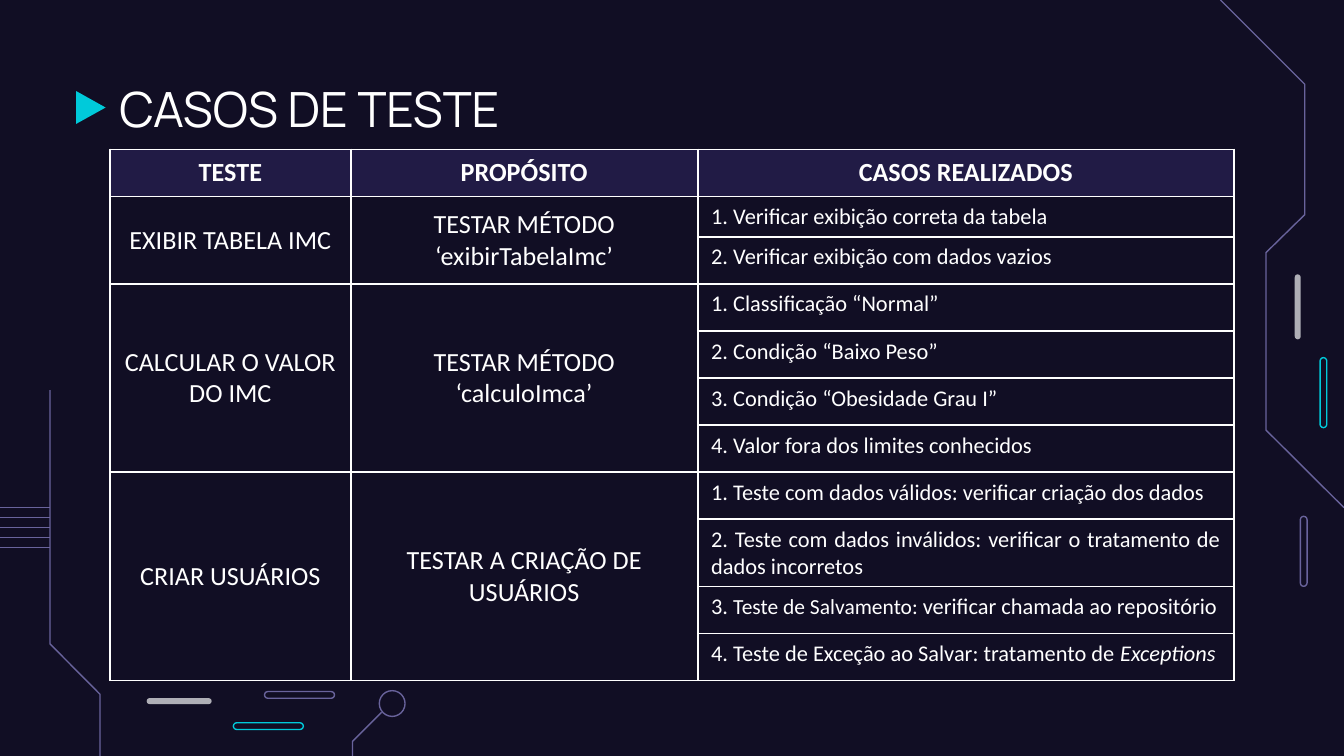
"""Build the test-case table slide with its circuit decoration."""
from lxml import etree
from pptx import Presentation
from pptx import util as u
from pptx.dml.color import RGBColor
from pptx.enum import shapes, text
from pptx.oxml import ns

TITLE = "CASOS DE TESTE"
HEADINGS = ("TESTE", "PROPÓSITO", "CASOS REALIZADOS")
TESTS = [
    ("EXIBIR TABELA IMC", "TESTAR MÉTODO ‘exibirTabelaImc’", [
        "1. Verificar exibição correta da tabela",
        "2. Verificar exibição com dados vazios"]),
    ("CALCULAR O VALOR DO IMC", "TESTAR MÉTODO ‘calculoImca’", [
        "1. Classificação “Normal”",
        "2. Condição “Baixo Peso”",
        "3. Condição “Obesidade Grau I”",
        "4. Valor fora dos limites conhecidos"]),
    ("CRIAR USUÁRIOS", "TESTAR A CRIAÇÃO DE USUÁRIOS", [
        "1. Teste com dados válidos: verificar criação dos dados",
        "2. Teste com dados inválidos: verificar o tratamento de dados incorretos",
        [("3. ", {}), ("Teste de Salvamento: ", {"size": 11.5}),
         ("verificar chamada ao repositório", {})],
        [("4. Teste de Exceção ao Salvar: tratamento de ", {}),
         ("Exceptions", {"italic": True})]]),
]
JUSTIFIED = TESTS[2][2][1]

THEME = {
    "night": "110E24", "header": "211B45", "white": "FFFFFF",
    "cyan": "00CADA", "violet": "69639C", "grey": "AFAFB6",
    "title_font": "Manrope", "body_font": "Calibri",
    "title_size": 26, "label_size": 14, "case_size": 12, "rule": 0.75, "border": 1,
}
COLUMNS = (128.9, 185.9, 287.3)
ROW, FIRST_CASE_ROW = 25.2, 12.2
TABLE_LEFT, TABLE_TOP = 59, 80.1

CIRCUITS = [
    [(720, 272), (678.2, 230.4), (678.2, 135.4), (699, 115), (699, 45.2), (653.8, 0)],
    [(53.6, 405), (53.6, 372), (26.8, 345), (26.8, 209)],
    [(204.5, 381.6), (188.9, 397.2), (188.9, 405)],
]
WIRE_TOP, WIRE_GAP, WIRE_COUNT, WIRE_END = 271.8, 5.4, 5, 26.8
PILL, SOLID_PILL = (3.6, 37.5), (3.2, 34.8)
PILLS = [
    (693.6, 147, SOLID_PILL, "grey", True, False),
    (78.6, 374, SOLID_PILL, "grey", True, True),
    (707.2, 191.6, PILL, "cyan", False, False),
    (696.6, 276.6, PILL, "violet", False, False),
    (125, 387.2, PILL, "cyan", False, True),
    (141.7, 370.5, PILL, "violet", False, True),
]


def color(name):
    return RGBColor.from_string(THEME[name])


def paint(shape, fill=None, line=None):
    shape.shadow.inherit = False
    if fill:
        shape.fill.solid()
        shape.fill.fore_color.rgb = color(fill)
    else:
        shape.fill.background()
    if line:
        shape.line.color.rgb = color(line)
        shape.line.width = u.Pt(THEME["rule"])
    else:
        shape.line.fill.background()


def add_shape(page, kind, left, top, width, height, **look):
    shape = page.shapes.add_shape(kind, u.Pt(left), u.Pt(top), u.Pt(width), u.Pt(height))
    paint(shape, **look)
    return shape


def write(frame, content, size, font="body_font", bold=False, align=text.PP_ALIGN.LEFT):
    para = frame.paragraphs[0]
    para.alignment = align
    spans = [(content, {})] if isinstance(content, str) else content
    for words, extra in spans:
        span = para.add_run()
        span.text = words
        span.font.name = THEME[font]
        span.font.size = u.Pt(extra.get("size", THEME[size]))
        span.font.bold = bold
        span.font.italic = extra.get("italic", False)
        span.font.color.rgb = color("white")


def style_cell(cell, fill):
    properties = cell._tc.get_or_add_tcPr()
    for side in ("lnL", "lnR", "lnT", "lnB"):
        edge = etree.SubElement(properties, ns.qn(f"a:{side}"), w=str(u.Pt(THEME["border"])))
        solid = etree.SubElement(edge, ns.qn("a:solidFill"))
        etree.SubElement(solid, ns.qn("a:srgbClr"), val=THEME["white"])
    cell.fill.solid()
    cell.fill.fore_color.rgb = color(fill)


def add_decoration(page):
    for left, top, (short, long), tone, solid, flat in PILLS:
        width, height = (long, short) if flat else (short, long)
        pill = add_shape(page, shapes.MSO_SHAPE.ROUNDED_RECTANGLE, left, top, width, height,
                         **{"fill" if solid else "line": tone})
        pill.adjustments[0] = 0.5
    arrow = add_shape(page, shapes.MSO_SHAPE.FLOWCHART_MERGE, 39.9, 49.7, 17.6, 15.8, fill="cyan")
    arrow.rotation = 270
    for start, *rest in CIRCUITS:
        builder = page.shapes.build_freeform(u.Pt(start[0]), u.Pt(start[1]))
        builder.add_line_segments([(u.Pt(x), u.Pt(y)) for x, y in rest], close=False)
        paint(builder.convert_to_shape(), line="violet")
    for index in range(WIRE_COUNT):
        y = u.Pt(WIRE_TOP + index * WIRE_GAP)
        wire = page.shapes.add_connector(shapes.MSO_CONNECTOR.STRAIGHT, 0, y, u.Pt(WIRE_END), y)
        wire.line.color.rgb = color("violet")
        wire.line.width = u.Pt(THEME["rule"])
        etree.SubElement(wire._element.spPr, ns.qn("a:effectLst"))
    add_shape(page, shapes.MSO_SHAPE.OVAL, 203.2, 370, 13.8, 13.8, line="violet")


def add_title(page):
    box = page.shapes.add_textbox(u.Pt(56.9), u.Pt(35.3), u.Pt(607), u.Pt(45.4))
    frame = box.text_frame
    frame.word_wrap = True
    frame.vertical_anchor = text.MSO_ANCHOR.MIDDLE
    frame.margin_left = frame.margin_right = frame.margin_top = frame.margin_bottom = u.Pt(7.2)
    write(frame, TITLE, "title_size", font="title_font")


def add_tests(page):
    heights = [ROW, FIRST_CASE_ROW] + [ROW] * (sum(len(cases) for *_, cases in TESTS) - 1)
    table = page.shapes.add_table(len(heights), len(COLUMNS), u.Pt(TABLE_LEFT), u.Pt(TABLE_TOP),
                                  u.Pt(sum(COLUMNS)), u.Pt(sum(heights))).table
    table.first_row = table.horz_banding = False
    for column, width in zip(table.columns, COLUMNS):
        column.width = u.Pt(width)
    for index, height in enumerate(heights):
        table.rows[index].height = u.Pt(height)
        for cell in table.rows[index].cells:
            style_cell(cell, "night" if index else "header")
    center = text.PP_ALIGN.CENTER
    for index, heading in enumerate(HEADINGS):
        write(table.cell(0, index).text_frame, heading, "label_size", bold=True, align=center)
    row = 1
    for *labels, cases in TESTS:
        for column, label in enumerate(labels):
            cell = table.cell(row, column)
            cell.merge(table.cell(row + len(cases) - 1, column))
            cell.vertical_anchor = text.MSO_ANCHOR.MIDDLE
            write(cell.text_frame, label, "label_size", align=center)
        for case in cases:
            align = text.PP_ALIGN.JUSTIFY if case == JUSTIFIED else text.PP_ALIGN.LEFT
            write(table.cell(row, 2).text_frame, case, "case_size", align=align)
            row += 1


def main():
    deck = Presentation()
    deck.slide_width, deck.slide_height = u.Pt(720), u.Pt(405)
    page = deck.slides.add_slide(deck.slide_layouts[6])
    page.background.fill.solid()
    page.background.fill.fore_color.rgb = color("night")
    add_decoration(page)
    add_title(page)
    add_tests(page)
    deck.save("out.pptx")


if __name__ == "__main__":
    main()
